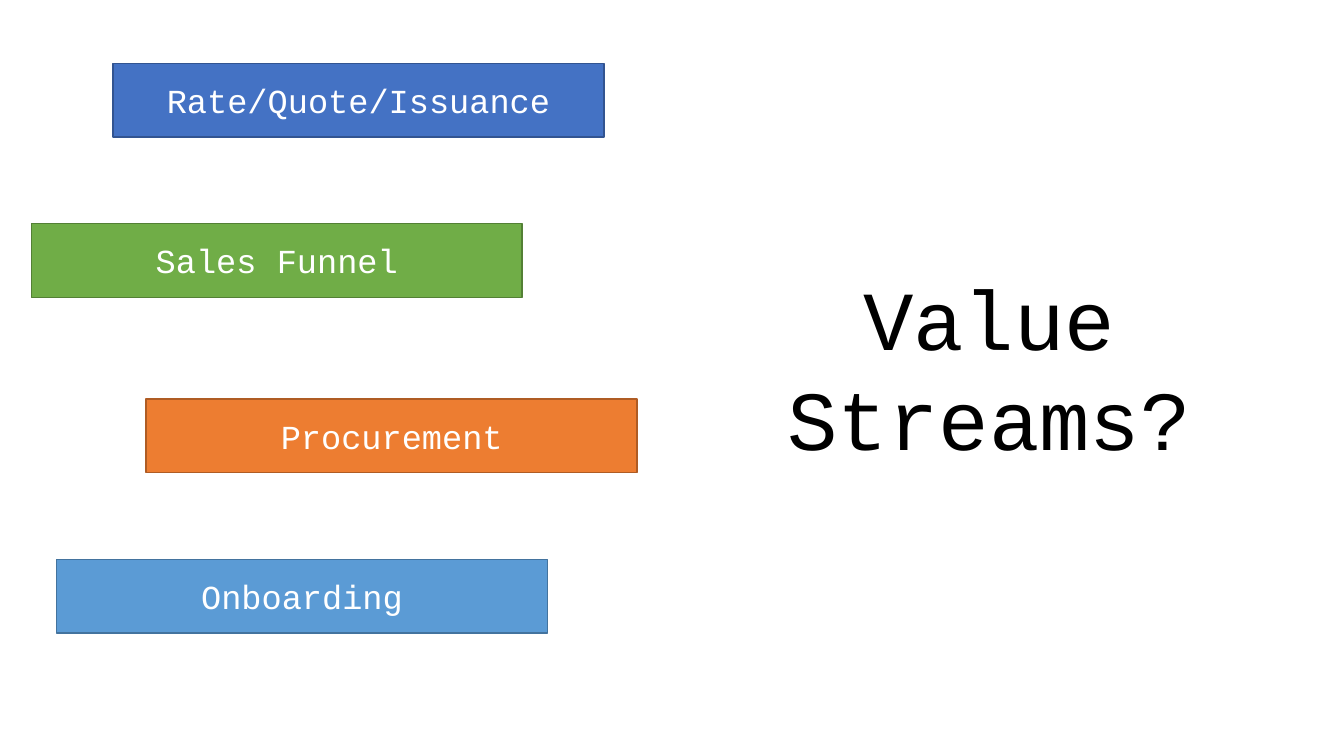
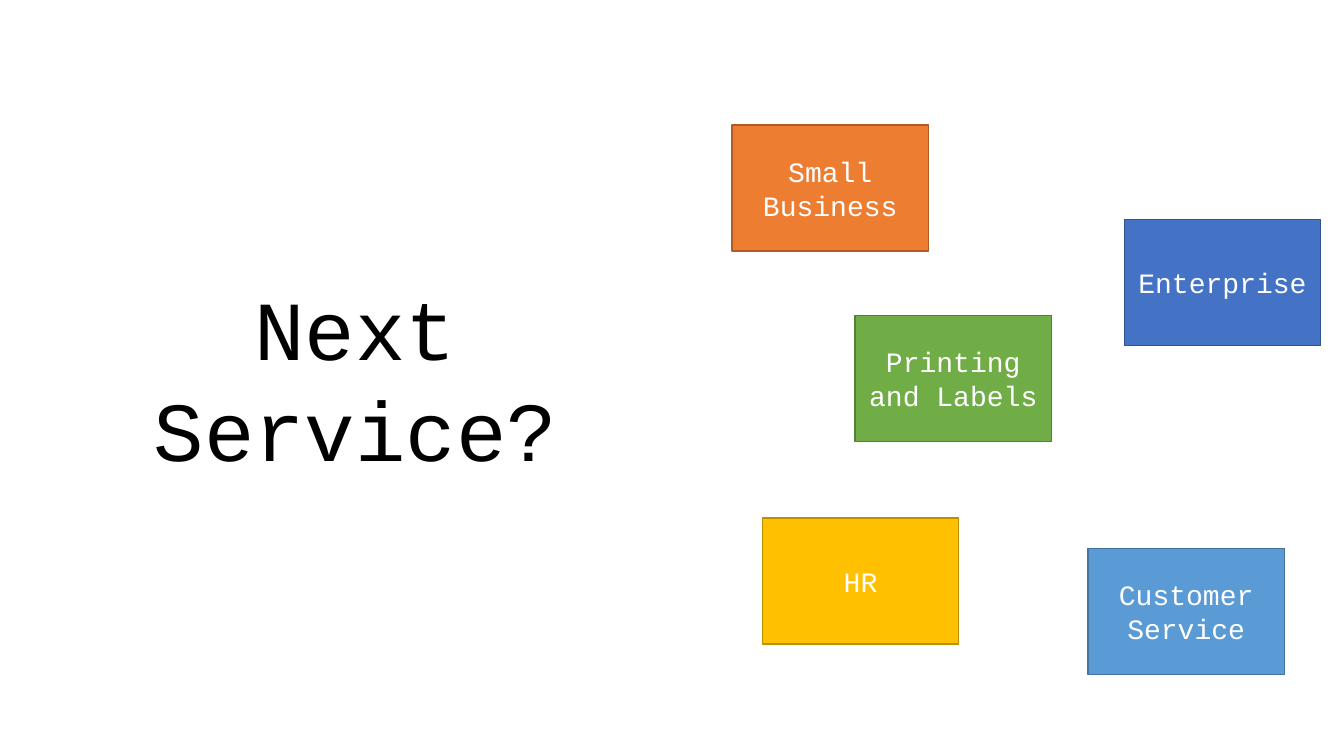
from typing import NamedTuple

from pptx import Presentation
from pptx.dml.color import RGBColor
from pptx.enum.shapes import MSO_SHAPE
from pptx.enum.text import MSO_ANCHOR, MSO_AUTO_SIZE, PP_ALIGN
from pptx.util import Inches, Pt

FONT = "Courier New"
BLACK, WHITE = "000000", "FFFFFF"
TITLE_SIZE = 60
TITLE_ONLY_LAYOUT = 5


class Theme(NamedTuple):
    fill: str
    line: str


BLUE = Theme("4472C4", "325491")
GREEN = Theme("70AD47", "538035")
ORANGE = Theme("ED7D31", "AF5C24")
SKY = Theme("5B9BD5", "43739E")
GOLD = Theme("FFC000", "BD8E00")


class Box(NamedTuple):
    label: str
    left: float
    top: float
    theme: Theme


class BoxStyle(NamedTuple):
    width: float
    height: float
    font_size: int


class Title(NamedTuple):
    text: str
    left: float
    top: float
    width: float
    height: float = 2.12


class Page(NamedTuple):
    title: Title
    style: BoxStyle
    boxes: list[Box]


PAGES = [
    Page(
        Title("Value Streams?", 6.47, 2.59, 6.68),
        BoxStyle(4.87, 0.73, 24),
        [
            Box("Rate/Quote/Issuance", 1.12, 0.63, BLUE),
            Box("Sales Funnel", 0.31, 2.22, GREEN),
            Box("Procurement", 1.45, 3.96, ORANGE),
            Box("Onboarding", 0.56, 5.55, SKY),
        ],
    ),
    Page(
        Title("Next Service?", 0.88, 2.69, 5.29),
        BoxStyle(1.95, 1.25, 20),
        [
            Box("Small Business", 7.26, 1.24, ORANGE),
            Box("Enterprise", 11.15, 2.18, BLUE),
            Box("Printing and Labels", 8.48, 3.13, GREEN),
            Box("Customer Service", 10.79, 5.44, SKY),
            Box("HR", 7.56, 5.14, GOLD),
        ],
    ),
]


def color(value: str) -> RGBColor:
    return RGBColor.from_string(value)


def write_text(shape, text: str, size: int, font_color: str, anchor) -> None:
    """Fill a shape with one centred paragraph."""
    frame = shape.text_frame
    frame.text = text
    frame.word_wrap = True
    frame.vertical_anchor = anchor
    paragraph = frame.paragraphs[0]
    paragraph.alignment = PP_ALIGN.CENTER
    paragraph.font.name = FONT
    paragraph.font.size = Pt(size)
    paragraph.font.color.rgb = color(font_color)


def set_title(slide, title: Title) -> None:
    shape = slide.shapes.title
    shape.left, shape.top = Inches(title.left), Inches(title.top)
    shape.width, shape.height = Inches(title.width), Inches(title.height)
    write_text(shape, title.text, TITLE_SIZE, BLACK, MSO_ANCHOR.TOP)
    shape.text_frame.auto_size = MSO_AUTO_SIZE.SHAPE_TO_FIT_TEXT


def add_box(slide, box: Box, style: BoxStyle) -> None:
    shape = slide.shapes.add_shape(
        MSO_SHAPE.RECTANGLE,
        Inches(box.left), Inches(box.top),
        Inches(style.width), Inches(style.height),
    )
    shape.shadow.inherit = False
    shape.fill.solid()
    shape.fill.fore_color.rgb = color(box.theme.fill)
    shape.line.color.rgb = color(box.theme.line)
    shape.line.width = Pt(1)
    write_text(shape, box.label, style.font_size, WHITE, MSO_ANCHOR.MIDDLE)


def main() -> None:
    presentation = Presentation()
    presentation.slide_width = Inches(13.33)
    presentation.slide_height = Inches(7.5)
    layout = presentation.slide_layouts[TITLE_ONLY_LAYOUT]

    # One slide per page: a large question and its scattered boxes
    for page in PAGES:
        slide = presentation.slides.add_slide(layout)
        set_title(slide, page.title)
        for box in page.boxes:
            add_box(slide, box, page.style)

    presentation.save("out.pptx")


if __name__ == "__main__":
    main()
